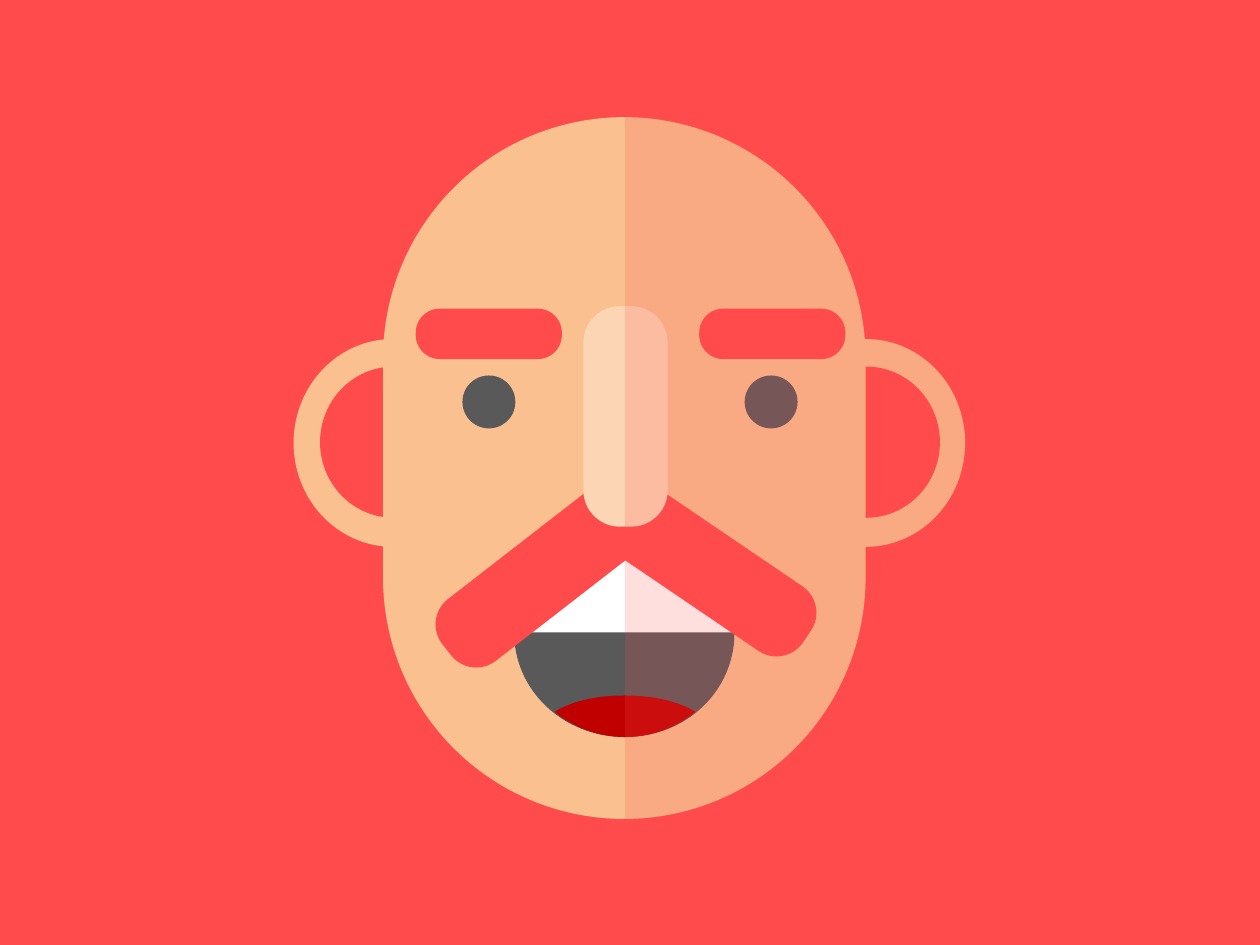
from lxml import etree
from pptx import Presentation
from pptx.dml.color import RGBColor
from pptx.enum.shapes import MSO_SHAPE
from pptx.oxml.ns import qn
from pptx.util import Inches

DISC = MSO_SHAPE.FLOWCHART_CONNECTOR
ROUND = MSO_SHAPE.ROUNDED_RECTANGLE
BLOCK = MSO_SHAPE.FLOWCHART_PROCESS
RED = RGBColor(0xFF, 0x4B, 0x4B)
SKIN = RGBColor(0xFA, 0xC0, 0x90)
NOSE = RGBColor(0xFC, 0xD5, 0xB5)
GRAY = RGBColor(0x59, 0x59, 0x59)
WHITE = RGBColor(0xFF, 0xFF, 0xFF)
TONGUE = RGBColor(0xC0, 0x00, 0x00)

prs = Presentation()
prs.slide_width, prs.slide_height = Inches(10), Inches(7.5)
slide = prs.slides.add_slide(prs.slide_layouts[6])
back = slide.background.fill
back.solid()
back.fore_color.rgb = RED
face = slide.shapes.add_group_shape().shapes


def paint(shape, color):
    shape.shadow.inherit = False
    shape.fill.solid()
    shape.fill.fore_color.rgb = color
    shape.line.fill.background()
    return shape


def add(kind, color, x, y, w, h, adj=None, turn=0):
    shape = face.add_shape(kind, Inches(x), Inches(y), Inches(w), Inches(h))
    if adj is not None:
        shape.adjustments[0] = adj
    shape.rotation = turn
    return paint(shape, color)


for x in (6.08, 2.33):
    add(DISC, SKIN, x, 2.69, 1.58, 1.65)
    add(DISC, RED, x + 0.21, 2.91, 1.17, 1.2)

add(ROUND, SKIN, 3.04, 0.93, 3.83, 5.57, 0.5)

for x in (3.3, 5.55):
    add(ROUND, RED, x, 2.45, 1.16, 0.4, 0.478)
for x in (5.91, 3.67):
    add(DISC, GRAY, x, 2.98, 0.42, 0.42)

add(DISC, WHITE, 4.08, 4.19, 1.75, 1.66)

mouth = [
    ((5.83, 5.48), (5.45, 5.85), (4.96, 5.85)),
    ((4.47, 5.85), (4.08, 5.48), (4.08, 5.02)),
]
tongue = [
    ((5.17, 5.52), (5.37, 5.56), (5.52, 5.65)),
    ((5.37, 5.77), (5.18, 5.85), (4.96, 5.85)),
    ((4.74, 5.85), (4.55, 5.77), (4.4, 5.65)),
    ((4.55, 5.56), (4.74, 5.52), (4.96, 5.52)),
]
for start, curves, color in (((5.83, 5.02), mouth, GRAY), ((4.96, 5.52), tongue, TONGUE)):
    pen = face.build_freeform(Inches(start[0]), Inches(start[1]))
    pen.add_line_segments([(Inches(x), Inches(y)) for *_, (x, y) in curves], close=True)
    shape = paint(pen.convert_to_shape(), color)
    edges = list(shape._element.iter(qn("a:lnTo")))
    for edge, curve in zip(edges, curves):
        edge.tag = qn("a:cubicBezTo")
        for spot, (x, y) in enumerate(curve[:2]):
            point = etree.Element(qn("a:pt"))
            point.set("x", str(Inches(x) - shape.left))
            point.set("y", str(Inches(y) - shape.top))
            edge.insert(spot, point)

for x, y, turn in ((5.23, 3.42, 304.2), (4.06, 3.47, 52.2)):
    add(ROUND, RED, x, y, 0.62, 2.09, 0.409, turn)

add(ROUND, NOSE, 4.63, 2.43, 0.67, 1.75, 0.432)

shade = add(BLOCK, RED, 4.96, 0, 4.29, 7.5)
tint = shade.fill._xPr.find(qn("a:solidFill"))[0]
etree.SubElement(tint, qn("a:alpha")).set("val", "18000")

prs.save("out.pptx")
